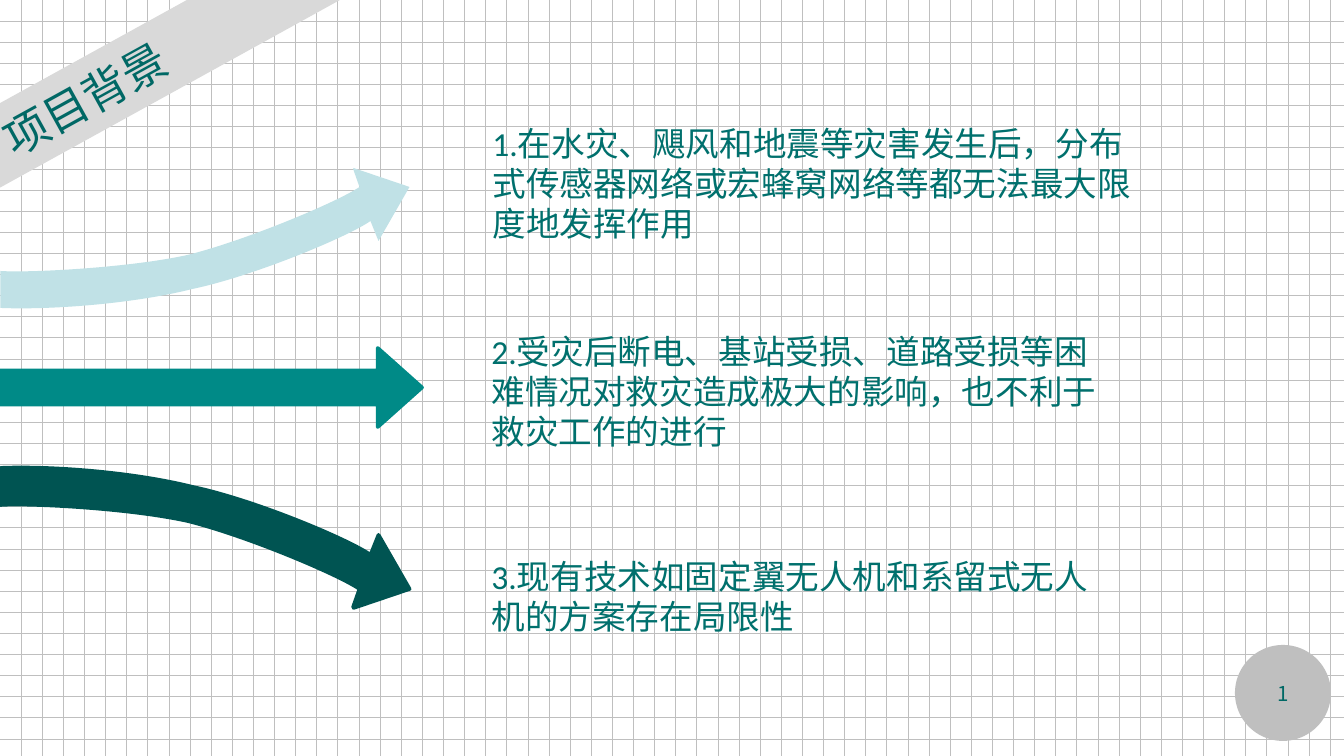
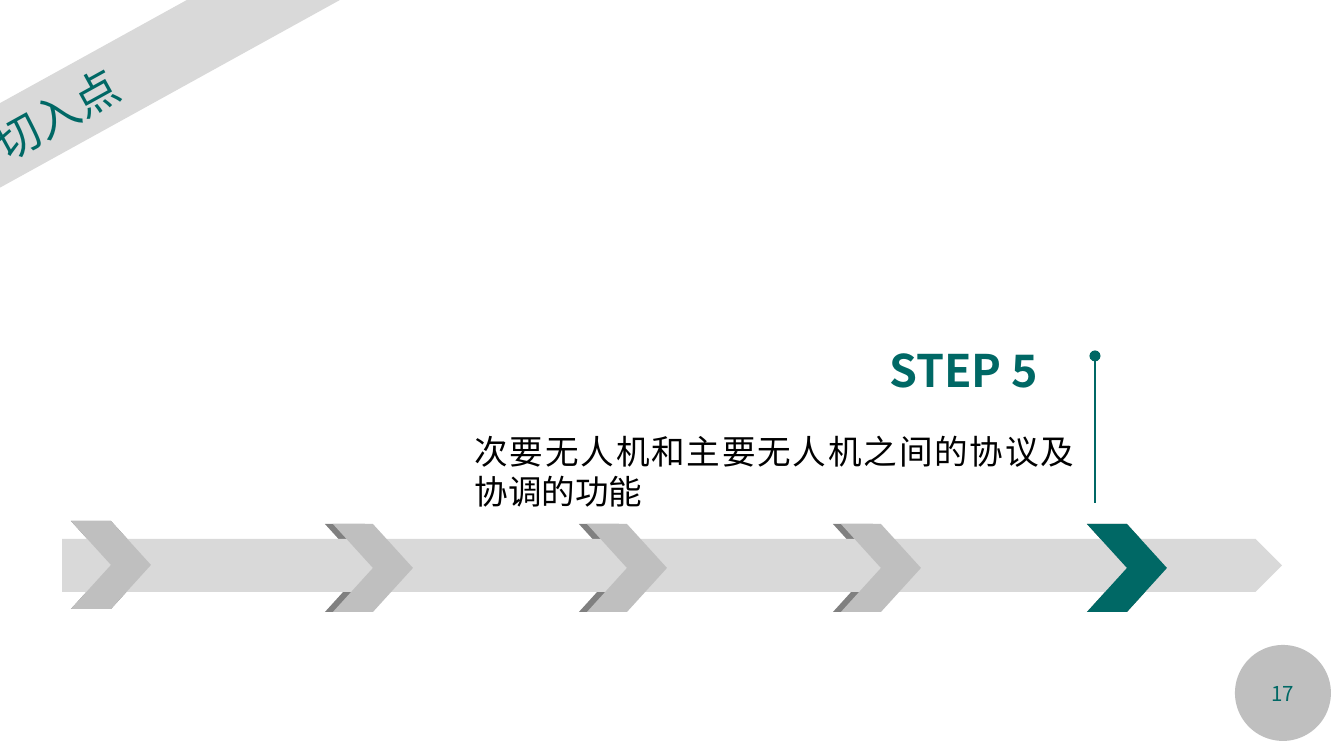
"""Build two slides on disaster-relief drones: the background and the starting point."""
import math
from dataclasses import dataclass
from typing import Any

from lxml import etree
from pptx import Presentation
from pptx.dml.color import RGBColor
from pptx.enum.dml import MSO_PATTERN
from pptx.enum.shapes import MSO_CONNECTOR, MSO_SHAPE
from pptx.enum.text import MSO_ANCHOR, MSO_AUTO_SIZE, PP_ALIGN
from pptx.oxml.ns import qn
from pptx.util import Emu, Pt

EMU_PER_PX = 914400 / 134.4
SLIDE_WIDTH, SLIDE_HEIGHT = 1344, 756
COMPARISON_LAYOUT = 4

RIGHT_ARROW = MSO_SHAPE.RIGHT_ARROW
CHEVRON = MSO_SHAPE.CHEVRON
HOME_PLATE = MSO_SHAPE.PENTAGON
ELLIPSE = MSO_SHAPE.OVAL
STRAIGHT = MSO_CONNECTOR.STRAIGHT
DOT_GRID = MSO_PATTERN.DOTTED_GRID
TOP, MIDDLE = MSO_ANCHOR.TOP, MSO_ANCHOR.MIDDLE
LEFT, CENTER, JUSTIFY = PP_ALIGN.LEFT, PP_ALIGN.CENTER, PP_ALIGN.JUSTIFY
NO_AUTOSIZE = MSO_AUTO_SIZE.NONE

CJK_FONT = "Noto Sans CJK SC"
TEAL, TEXT_TEAL = "006865", "00706D"
MID_TEAL, DARK_TEAL, PALE_BLUE = "008A87", "005452", "C0E1E6"
BAND_GRAY, BADGE_GRAY, SHADE_GRAY = "D9D9D9", "BFBFBF", "808080"
WHITE, BLACK = "FFFFFF", "000000"

ARROW_ANGLE = 6.5
ARROW_CENTER = (203, 537)
MIRROR_SUM = 776
ARROW_START = (0, 505)
ARROW_SEGMENTS = [
    [(28, 503), (128, 508), (187, 521)],
    [(247, 536), (339, 575), (359, 589)],
    [(348, 620), (355, 601), (353, 608)],
    [(409, 589)],
    [(378, 535)],
    [(370, 555)],
    [(349, 540), (254, 500), (192, 487)],
    [(132, 472), (50, 466), (0, 468)],
    [ARROW_START],
]

STEP_COUNT, STEP_LEFT, STEP_PITCH = 5, 71, 254
Point = tuple[float, float]


@dataclass(frozen=True)
class Box:
    left: int
    top: int
    width: int
    height: int

    def emu(self) -> list[Emu]:
        return [px(value) for value in (self.left, self.top, self.width, self.height)]


@dataclass(frozen=True)
class TextBlock:
    text: str
    box: Box
    color: str
    size: int = 18
    font: str = CJK_FONT
    bold: bool = False
    alignment: Any = LEFT


BAND_BOX = Box(-128, 25, 558, 74)
BADGE_BOX = Box(1235, 645, 96, 96)

BACKGROUND_POINTS = [
    TextBlock("1.在水灾、飓风和地震等灾害发生后，分布式传感器网络或宏蜂窝网络等都无法最大限度地发挥作用",
              Box(479, 116, 669, 136), TEXT_TEAL, font="Calibri"),
    TextBlock("2.受灾后断电、基站受损、道路受损等困难情况对救灾造成极大的影响，也不利于救灾工作的进行",
              Box(478, 324, 656, 136), TEXT_TEAL, font="Calibri"),
    TextBlock("3.现有技术如固定翼无人机和系留式无人机的方案存在局限性",
              Box(478, 549, 656, 95), TEXT_TEAL, font="Calibri"),
]
STEP_TEXTS = [
    TextBlock("STEP 5", Box(876, 336, 203, 67), TEAL, size=24, bold=True),
    TextBlock("次要无人机和主要无人机之间的协议及协调的功能",
              Box(461, 424, 627, 136), BLACK, alignment=JUSTIFY),
]


def px(value: float) -> Emu:
    return Emu(round(value * EMU_PER_PX))


def rgb(color: str) -> RGBColor:
    return RGBColor.from_string(color)


def set_values(target: Any, values: dict[str, Any]) -> None:
    for name, value in values.items():
        setattr(target, name, value)


def paint(shape: Any, color: str, line_color: str = "") -> None:
    shape.shadow.inherit = False
    shape.fill.solid()
    shape.fill.fore_color.rgb = rgb(color)
    if line_color:
        shape.line.color.rgb = rgb(line_color)
        shape.line.width = Pt(2)
    else:
        shape.line.fill.background()


def place(shape: Any, box: Box) -> None:
    set_values(shape, dict(zip(("left", "top", "width", "height"), box.emu())))


def write_text(shape: Any, block: TextBlock, anchor: Any) -> None:
    frame = shape.text_frame
    set_values(frame, {"word_wrap": True, "auto_size": NO_AUTOSIZE, "vertical_anchor": anchor})
    paragraph = frame.paragraphs[0]
    set_values(paragraph, {"alignment": block.alignment, "space_before": Pt(0)})
    properties = paragraph._p.get_or_add_pPr()
    properties.set("marL", "0")
    properties.set("indent", "0")
    etree.SubElement(properties, qn("a:buNone"))
    run = paragraph.add_run()
    run.text = block.text
    set_values(run.font, {"name": block.font, "size": Pt(block.size), "bold": block.bold})
    run.font.color.rgb = rgb(block.color)
    etree.SubElement(run._r.get_or_add_rPr(), qn("a:ea"), typeface=CJK_FONT)


def add_preset(slide: Any, kind: Any, box: Box, color: str, line_color: str = "") -> Any:
    shape = slide.shapes.add_shape(kind, *box.emu())
    paint(shape, color, line_color)
    return shape


def add_base_slide(presentation: Any, title: str, indent: int, number: str,
                   blocks: list[TextBlock]) -> Any:
    slide = presentation.slides.add_slide(presentation.slide_layouts[COMPARISON_LAYOUT])
    band = slide.shapes.title
    place(band, BAND_BOX)
    band.rotation = 331.1
    paint(band, BAND_GRAY)
    write_text(band, TextBlock(title, BAND_BOX, TEAL, size=24), MIDDLE)
    band.text_frame.margin_left = px(indent)

    bodies = list(slide.placeholders)[1:]
    for body, block in zip(bodies, blocks):
        place(body, block.box)
        write_text(body, block, TOP)
    for body in bodies[len(blocks):]:
        body.element.getparent().remove(body.element)

    badge = add_preset(slide, ELLIPSE, BADGE_BOX, BADGE_GRAY)
    write_text(badge, TextBlock(number, BADGE_BOX, TEAL, size=11, alignment=CENTER), MIDDLE)
    return slide


def bend_segments(shape: Any) -> None:
    lines = iter(list(shape._element.iter(qn("a:lnTo"))))
    for segment in ARROW_SEGMENTS:
        first = next(lines)
        if len(segment) == 3:
            first.tag = qn("a:cubicBezTo")
            for _ in segment[1:]:
                line = next(lines)
                first.append(line[0])
                line.getparent().remove(line)


def add_curved_arrow(slide: Any, color: str, line_color: str = "", mirrored: bool = False) -> None:
    angle = -ARROW_ANGLE if mirrored else ARROW_ANGLE
    cosine, sine = math.cos(math.radians(angle)), math.sin(math.radians(angle))

    def reflect(point: Point) -> Point:
        return (point[0], MIRROR_SUM - point[1]) if mirrored else point

    center_x, center_y = reflect(ARROW_CENTER)

    def unrotate(point: Point) -> tuple[Emu, Emu]:
        x, y = reflect(point)
        dx, dy = x - center_x, y - center_y
        return px(center_x + dx * cosine + dy * sine), px(center_y - dx * sine + dy * cosine)

    builder = slide.shapes.build_freeform(*unrotate(ARROW_START), scale=1.0)
    builder.add_line_segments(
        [unrotate(point) for segment in ARROW_SEGMENTS for point in segment], close=True)
    shape = builder.convert_to_shape()
    bend_segments(shape)
    shape.rotation = angle
    paint(shape, color, line_color)


def build_background(presentation: Any) -> None:
    slide = add_base_slide(presentation, "项目背景", 114, "1", BACKGROUND_POINTS)
    fill = slide.background.fill
    fill.patterned()
    fill.pattern = DOT_GRID
    fill.fore_color.rgb = rgb(BADGE_GRAY)
    fill.back_color.rgb = rgb(WHITE)

    add_curved_arrow(slide, DARK_TEAL, DARK_TEAL)
    arrow = add_preset(slide, RIGHT_ARROW, Box(0, 348, 422, 79), MID_TEAL, MID_TEAL)
    arrow.adjustments[0], arrow.adjustments[1] = 0.43, 0.56
    add_curved_arrow(slide, PALE_BLUE, mirrored=True)


def build_entry_point(presentation: Any) -> None:
    slide = add_base_slide(presentation, "切入点", 104, "17", STEP_TEXTS)
    slide.background.fill.solid()
    slide.background.fill.fore_color.rgb = rgb(WHITE)

    def add_chevrons(shift: int, color: str, last_color: str) -> None:
        for step in range(STEP_COUNT):
            is_last = step == STEP_COUNT - 1
            offset = 0 if step == 0 or is_last else shift
            box = Box(STEP_LEFT + STEP_PITCH * step + offset, 524 if step else 521, 80, 88)
            add_preset(slide, CHEVRON, box, last_color if is_last else color)

    add_chevrons(0, SHADE_GRAY, SHADE_GRAY)
    add_preset(slide, HOME_PLATE, Box(62, 539, 1220, 53), BAND_GRAY)
    add_chevrons(8, BADGE_GRAY, TEAL)

    pin = slide.shapes.add_connector(STRAIGHT, px(1095), px(356), px(1095), px(503))
    pin.line.color.rgb = rgb(TEAL)
    pin.line.width = Pt(1)
    etree.SubElement(pin.line._get_or_add_ln(), qn("a:headEnd"), type="oval")
    etree.SubElement(pin._element.spPr, qn("a:effectLst"))


def main() -> None:
    presentation = Presentation()
    set_values(presentation, {"slide_width": px(SLIDE_WIDTH), "slide_height": px(SLIDE_HEIGHT)})
    build_background(presentation)
    build_entry_point(presentation)
    presentation.save("out.pptx")


if __name__ == "__main__":
    main()
